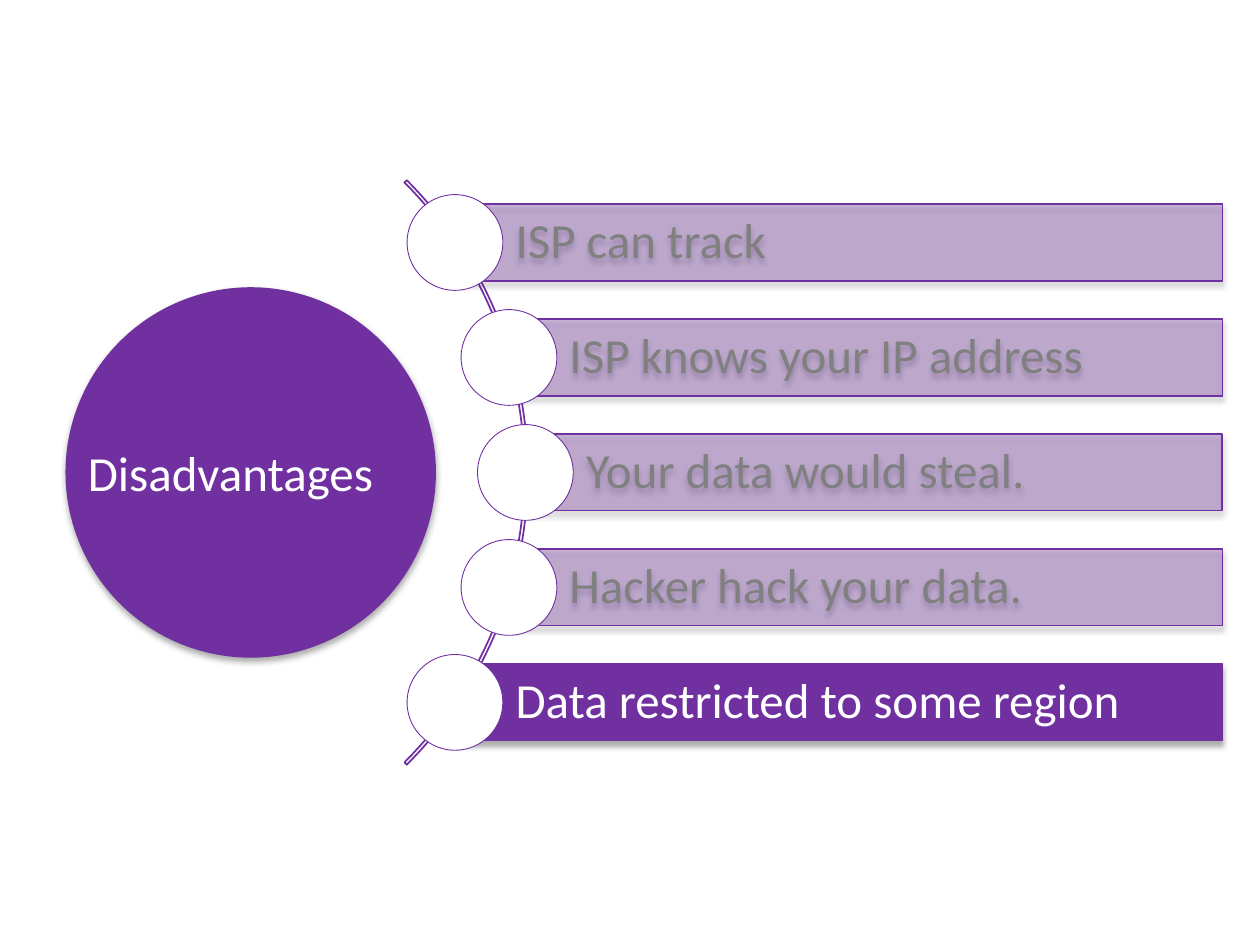
from math import sqrt

from lxml import etree
from pptx import Presentation
from pptx import util as u
from pptx.dml.color import RGBColor
from pptx.enum import shapes, text
from pptx.oxml import ns

PURPLE = RGBColor(0x70, 0x30, 0xA0)
WHITE = RGBColor(0xFF, 0xFF, 0xFF)
GRAY = RGBColor(0x80, 0x80, 0x80)

ARC_CENTER_X, ARC_CENTER_Y, ARC_RADIUS = 0.91, 3.75, 3.28
BULLET_ORBIT, BULLET_SIZE = 3.26, 0.76
BAR_RIGHT, BAR_HEIGHT = 9.7, 0.61
BAR_PITCH = 3.65 / 4
FADED_OPACITY = 33

ITEMS = [
    "ISP can track",
    "ISP knows your IP address",
    "Your data would steal.",
    "Hacker hack your data.",
    "Data restricted to some region",
]


class Diagram:
    font_name = "Calibri"
    font_size = u.Pt(28)

    def __init__(self, slide):
        self.slide = slide

    def shape(self, kind, left, top, width, height, fill=None, line_width=None):
        shape = self.slide.shapes.add_shape(
            kind, u.Inches(left), u.Inches(top), u.Inches(width), u.Inches(height))
        if fill is None:
            shape.fill.background()
        else:
            shape.fill.solid()
            shape.fill.fore_color.rgb = fill
        if line_width is None:
            shape.line.fill.background()
        else:
            shape.line.color.rgb = PURPLE
            shape.line.width = u.Pt(line_width)
        shape.shadow.inherit = False
        return shape

    def circle(self, center_x, center_y, size, fill, line_width=None):
        return self.shape(shapes.MSO_SHAPE.OVAL, center_x - size / 2,
                          center_y - size / 2, size, size, fill, line_width)

    def arc(self):
        size = 2 * ARC_RADIUS
        arc = self.shape(shapes.MSO_SHAPE.BLOCK_ARC, ARC_CENTER_X - ARC_RADIUS,
                         ARC_CENTER_Y - ARC_RADIUS, size, size, line_width=1)
        for index, value in enumerate((189, 27, 0.004)):
            arc.adjustments[index] = value

    def bar(self, left, center_y, words, faded):
        bar = self.shape(shapes.MSO_SHAPE.RECTANGLE, left, center_y - BAR_HEIGHT / 2,
                         BAR_RIGHT - left, BAR_HEIGHT, PURPLE, 0.75)
        self.drop_shadow(bar)
        if faded:
            color = bar._element.spPr.find(ns.qn("a:solidFill"))[0]
            etree.SubElement(color, ns.qn("a:alpha"), val=str(FADED_OPACITY * 1000))
        frame = bar.text_frame
        frame.word_wrap = True
        frame.vertical_anchor = text.MSO_ANCHOR.MIDDLE
        frame.margin_left = u.Inches(0.48)
        frame.margin_top = frame.margin_right = frame.margin_bottom = u.Inches(0.08)
        self.set_words(frame, words, GRAY if faded else WHITE)
        frame.paragraphs[0].line_spacing = 0.9

    def label(self, left, top, width, height, words):
        box = self.slide.shapes.add_textbox(
            u.Inches(left), u.Inches(top), u.Inches(width), u.Inches(height))
        box.text_frame.word_wrap = False
        box.text_frame.auto_size = text.MSO_AUTO_SIZE.SHAPE_TO_FIT_TEXT
        self.set_words(box.text_frame, words, WHITE)

    def set_words(self, frame, words, color):
        frame.text = words
        paragraph = frame.paragraphs[0]
        paragraph.alignment = text.PP_ALIGN.LEFT
        font = paragraph.runs[0].font
        font.name = self.font_name
        font.size = self.font_size
        font.color.rgb = color

    def drop_shadow(self, shape):
        effects = shape._element.spPr.find(ns.qn("a:effectLst"))
        shadow = etree.SubElement(
            effects, ns.qn("a:outerShdw"), blurRad=str(u.Pt(3.5)),
            dist=str(u.Pt(2.2)), dir="5400000", rotWithShape="0")
        color = etree.SubElement(shadow, ns.qn("a:srgbClr"), val="000000")
        etree.SubElement(color, ns.qn("a:alpha"), val="32000")


def main():
    presentation = Presentation()
    presentation.slide_width = u.Inches(10)
    presentation.slide_height = u.Inches(7.5)
    diagram = Diagram(presentation.slides.add_slide(presentation.slide_layouts[6]))

    diagram.arc()
    last = len(ITEMS) - 1
    for index, words in enumerate(ITEMS):
        offset = (index - last / 2) * BAR_PITCH
        center_x = ARC_CENTER_X + sqrt(BULLET_ORBIT ** 2 - offset ** 2)
        center_y = ARC_CENTER_Y + offset
        diagram.bar(center_x, center_y, words, faded=index < last)
        diagram.circle(center_x, center_y, BULLET_SIZE, WHITE, 0.5)

    hub = diagram.circle(1.99, ARC_CENTER_Y, 2.94, PURPLE)
    diagram.drop_shadow(hub)
    diagram.label(0.6, 3.46, 2.77, 0.57, "Disadvantages")

    presentation.save("out.pptx")


if __name__ == "__main__":
    main()
